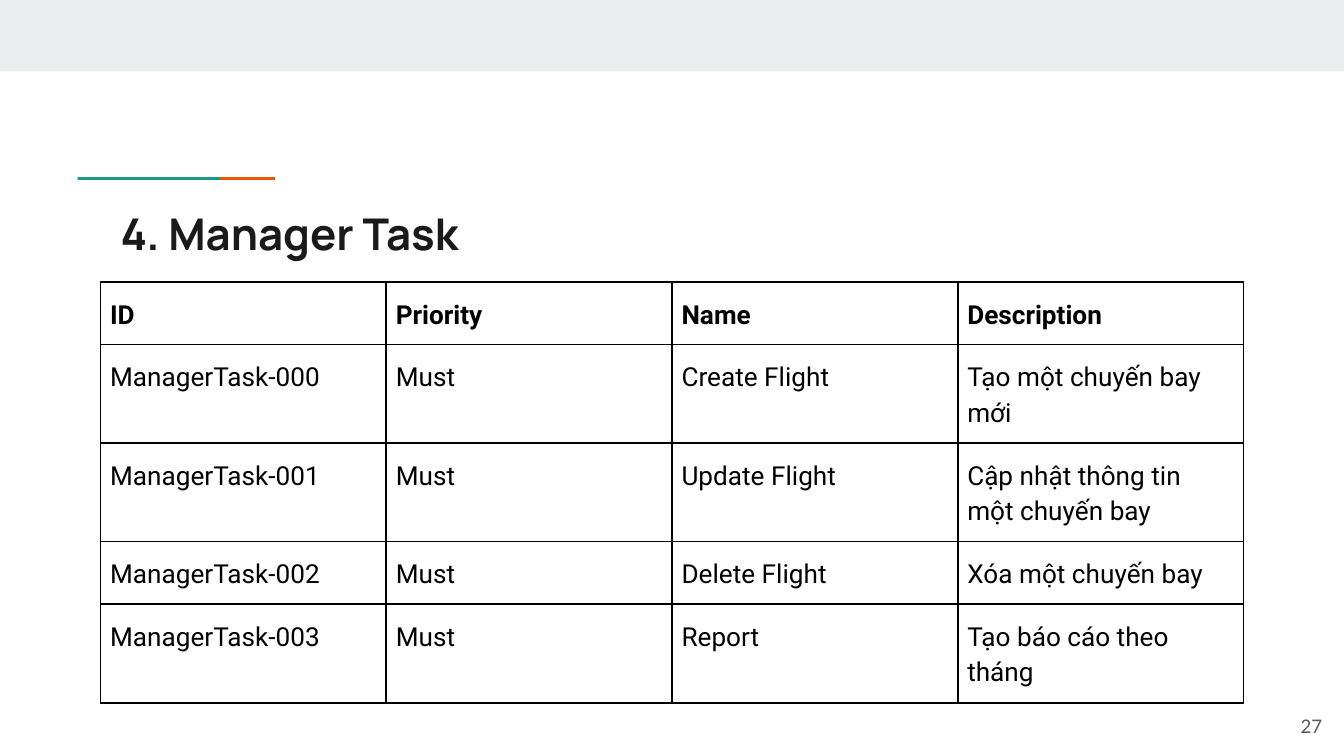
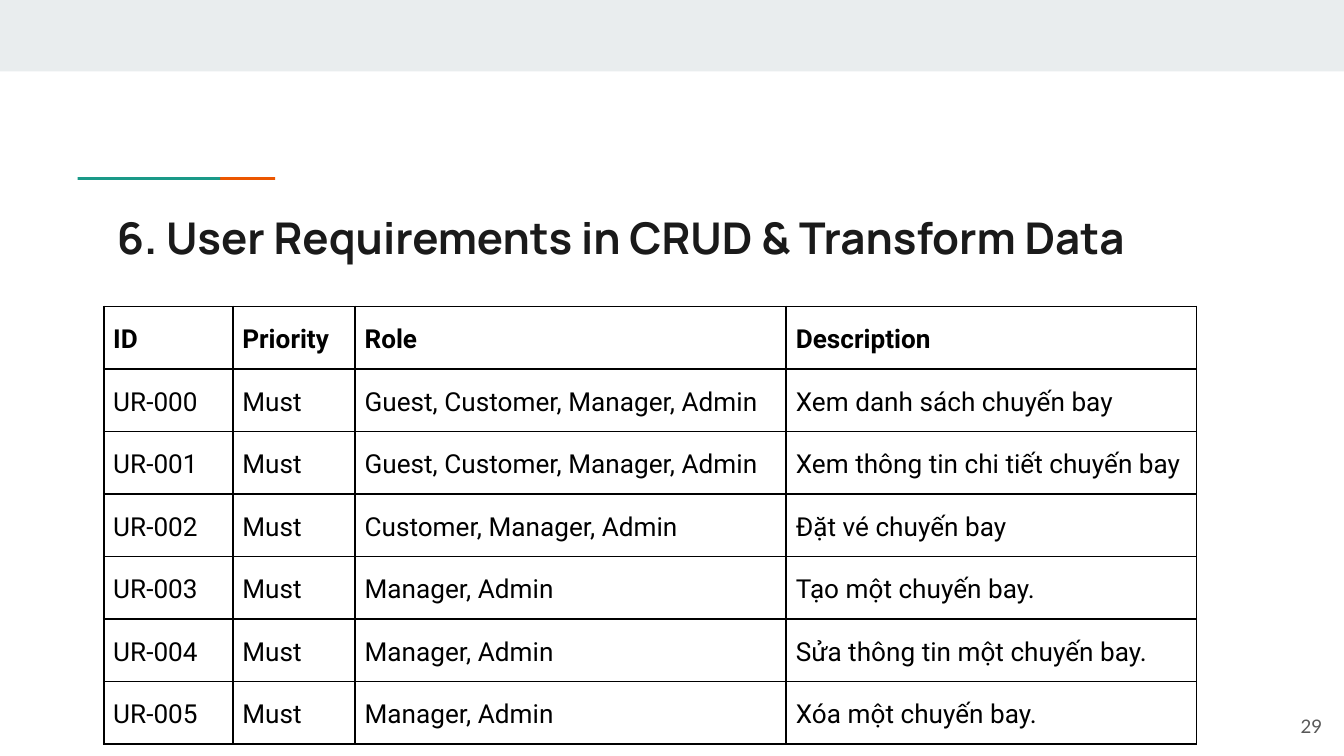
from dataclasses import dataclass
from typing import Any

from lxml.etree import SubElement
from pptx import Presentation
from pptx.dml.color import RGBColor
from pptx.enum.shapes import MSO_SHAPE
from pptx.enum.text import MSO_ANCHOR, PP_ALIGN
from pptx.oxml.ns import qn
from pptx.slide import Slide
from pptx.table import _Cell
from pptx.util import Cm, Pt

SLIDE_WIDTH, SLIDE_HEIGHT = 25.4, 14.29
INK, TEAL, ORANGE, BAND, GREY, BLACK = "1A1A1A", "1A9988", "EB5600", "E9EDEE", "595959", "000000"
ROW_HEIGHT = 1.07

TITLE_FONT = {"name": "Manrope", "size": Pt(23.4), "bold": True}
NUMBER_FONT = {"name": "Lato", "size": Pt(10)}
CELL_FONT = {"name": "Roboto", "size": Pt(14)}
CELL_PARAGRAPH = {"line_spacing": 1.15, "space_before": Pt(12), "space_after": Pt(12)}
CELL_MARGINS = {
    "margin_left": Cm(0.18),
    "margin_right": Cm(0.18),
    "margin_top": Cm(0.25),
    "margin_bottom": Cm(0.25),
}
TEXT_FRAME = {
    "word_wrap": True,
    "margin_left": Cm(0.25),
    "margin_right": Cm(0.25),
    "margin_top": Cm(0.25),
    "margin_bottom": Cm(0.25),
}


@dataclass(frozen=True)
class Box:
    left: float
    top: float
    width: float
    height: float

    def lengths(self) -> list[Cm]:
        return [Cm(value) for value in (self.left, self.top, self.width, self.height)]


@dataclass(frozen=True)
class Bar:
    box: Box
    fill: str


@dataclass(frozen=True)
class RequirementSlide:
    title: str
    title_box: Box
    table_left: float
    table_top: float
    column_widths: tuple[float, ...]
    rows: tuple[tuple[str, ...], ...]
    number: int


BARS = (
    Bar(Box(0, 0, SLIDE_WIDTH, 1.35), BAND),
    Bar(Box(2.51, 3.35, 2.69, 0.05), ORANGE),
    Bar(Box(1.47, 3.35, 2.69, 0.05), TEAL),
)
NUMBER_BOX = Box(23.72, 13.18, 1.52, 1.09)

SLIDES = (
    RequirementSlide(
        title="4. Manager Task",
        title_box=Box(2.03, 3.66, 21.36, 1.5),
        table_left=1.9,
        table_top=5.33,
        column_widths=(5.4,) * 4,
        rows=(
            ("ID", "Priority", "Name", "Description"),
            ("ManagerTask-000", "Must", "Create Flight", "Tạo một chuyến bay mới"),
            ("ManagerTask-001", "Must", "Update Flight", "Cập nhật thông tin một chuyến bay"),
            ("ManagerTask-002", "Must", "Delete Flight", "Xóa một chuyến bay"),
            ("ManagerTask-003", "Must", "Report", "Tạo báo cáo theo tháng"),
        ),
        number=27,
    ),
    RequirementSlide(
        title="6. User Requirements in CRUD & Transform Data",
        title_box=Box(1.96, 3.73, 23.67, 1.6),
        table_left=1.96,
        table_top=5.79,
        column_widths=(2.44, 2.31, 8.15, 7.75),
        rows=(
            ("ID", "Priority", "Role", "Description"),
            ("UR-000", "Must", "Guest, Customer, Manager, Admin", "Xem danh sách chuyến bay"),
            ("UR-001", "Must", "Guest, Customer, Manager, Admin", "Xem thông tin chi tiết chuyến bay"),
            ("UR-002", "Must", "Customer, Manager, Admin", "Đặt vé chuyến bay"),
            ("UR-003", "Must", "Manager, Admin", "Tạo một chuyến bay."),
            ("UR-004", "Must", "Manager, Admin", "Sửa thông tin một chuyến bay."),
            ("UR-005", "Must", "Manager, Admin", "Xóa một chuyến bay."),
        ),
        number=29,
    ),
)


def color(value: str) -> RGBColor:
    return RGBColor.from_string(value)


def apply_format(target: Any, values: dict[str, Any]) -> None:
    for name, value in values.items():
        setattr(target, name, value)


def write_text(paragraph: Any, text: str, font: dict[str, Any], ink: str) -> None:
    run = paragraph.add_run()
    run.text = text
    apply_format(run.font, font)
    run.font.color.rgb = color(ink)


def draw_bar(slide: Slide, bar: Bar) -> None:
    shape = slide.shapes.add_shape(MSO_SHAPE.RECTANGLE, *bar.box.lengths())
    shape.shadow.inherit = False
    shape.fill.solid()
    shape.fill.fore_color.rgb = color(bar.fill)
    shape.line.fill.background()


def draw_text(
    slide: Slide,
    box: Box,
    text: str,
    font: dict[str, Any],
    ink: str,
    anchor: MSO_ANCHOR = MSO_ANCHOR.TOP,
    alignment: PP_ALIGN = PP_ALIGN.LEFT,
) -> None:
    frame = slide.shapes.add_textbox(*box.lengths()).text_frame
    apply_format(frame, TEXT_FRAME | {"vertical_anchor": anchor})
    paragraph = frame.paragraphs[0]
    paragraph.alignment = alignment
    write_text(paragraph, text, font, ink)


def draw_borders(cell: _Cell) -> None:
    properties = cell._tc.get_or_add_tcPr()
    for position, side in enumerate(("a:lnL", "a:lnR", "a:lnT", "a:lnB")):
        line = SubElement(properties, qn(side), w=str(Pt(1)))
        fill = SubElement(line, qn("a:solidFill"))
        SubElement(fill, qn("a:srgbClr"), val=BLACK)
        properties.insert(position, line)


def draw_cell(cell: _Cell, text: str, bold: bool) -> None:
    apply_format(cell, CELL_MARGINS)
    cell.fill.background()
    draw_borders(cell)
    paragraph = cell.text_frame.paragraphs[0]
    apply_format(paragraph, CELL_PARAGRAPH)
    write_text(paragraph, text, CELL_FONT | {"bold": bold}, BLACK)


def draw_table(slide: Slide, content: RequirementSlide) -> None:
    box = Box(
        content.table_left,
        content.table_top,
        sum(content.column_widths),
        ROW_HEIGHT * len(content.rows),
    )
    table = slide.shapes.add_table(
        len(content.rows), len(content.column_widths), *box.lengths()
    ).table
    apply_format(table, {"first_row": False, "horz_banding": False})
    for column, width in zip(table.columns, content.column_widths):
        column.width = Cm(width)
    for row_index, row in enumerate(content.rows):
        for column_index, text in enumerate(row):
            draw_cell(table.cell(row_index, column_index), text, row_index == 0)


def draw_slide(slide: Slide, content: RequirementSlide) -> None:
    for bar in BARS:
        draw_bar(slide, bar)
    draw_text(slide, content.title_box, content.title, TITLE_FONT, INK)
    draw_table(slide, content)
    draw_text(
        slide, NUMBER_BOX, str(content.number), NUMBER_FONT, GREY, MSO_ANCHOR.MIDDLE, PP_ALIGN.RIGHT
    )


def main() -> None:
    presentation = Presentation()
    presentation.slide_width = Cm(SLIDE_WIDTH)
    presentation.slide_height = Cm(SLIDE_HEIGHT)
    for content in SLIDES:
        draw_slide(presentation.slides.add_slide(presentation.slide_layouts[6]), content)
    presentation.save("out.pptx")


if __name__ == "__main__":
    main()
